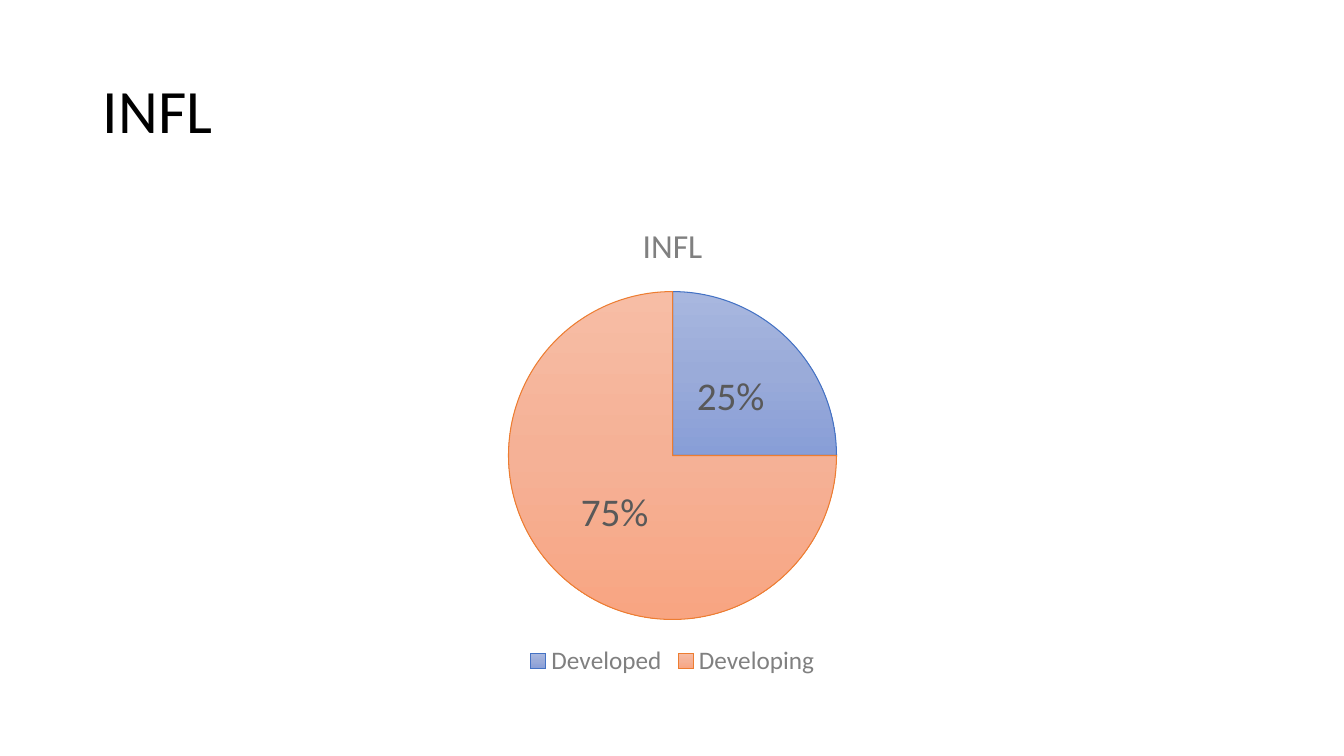
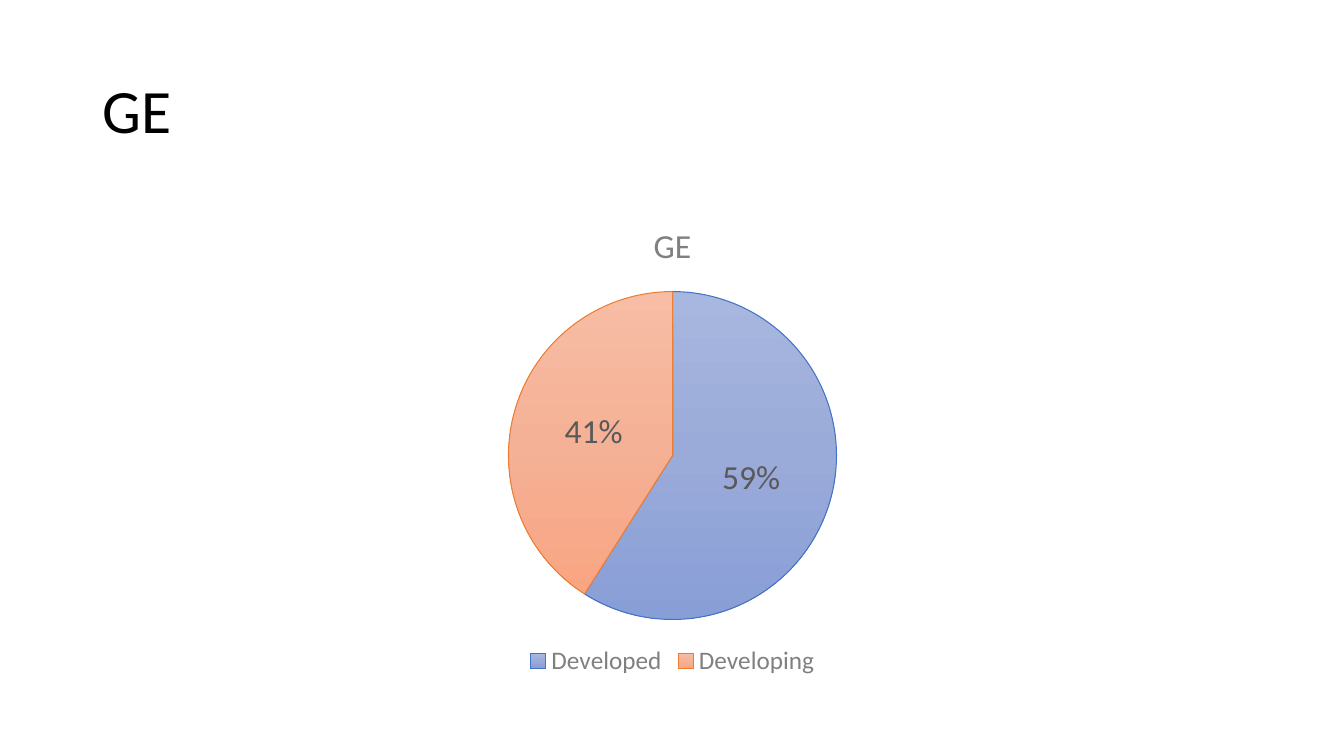
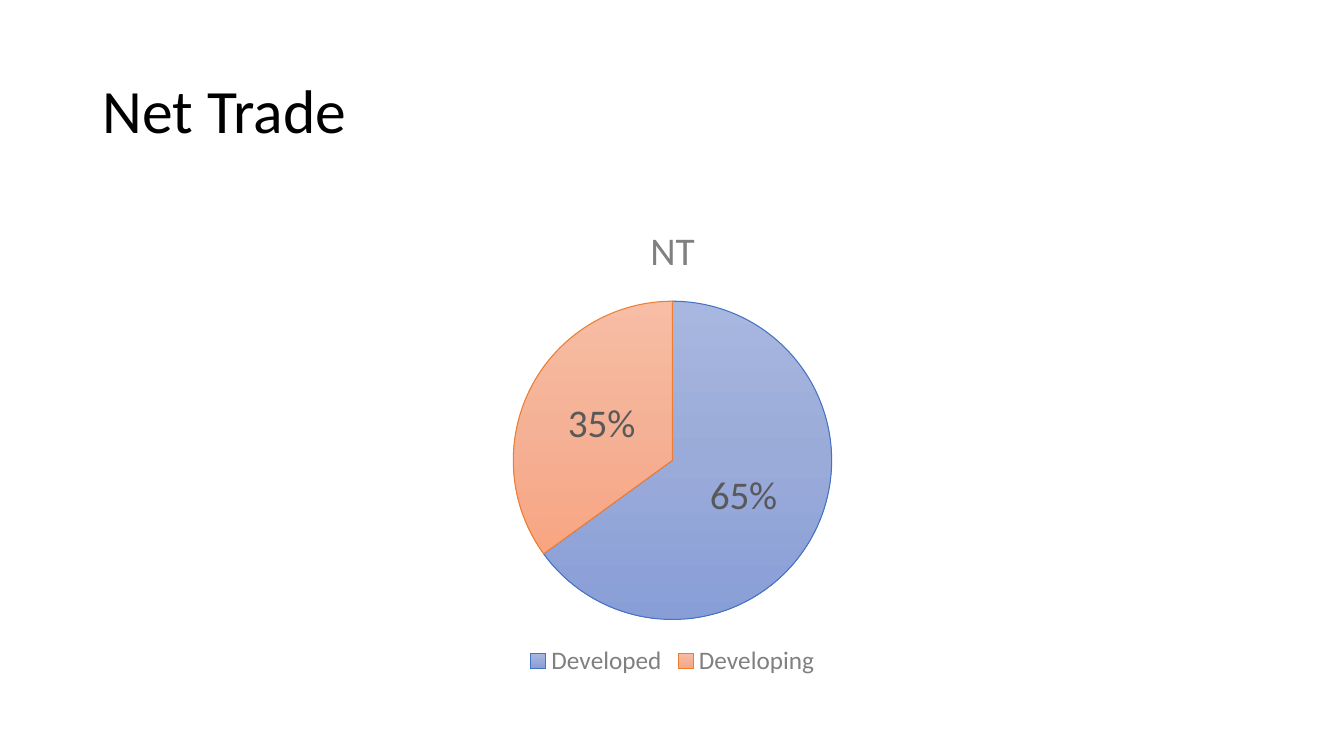
from dataclasses import dataclass

from lxml.etree import SubElement
from pptx import Presentation
from pptx.chart.data import CategoryChartData
from pptx.chart.point import Point
from pptx.dml.color import RGBColor
from pptx.enum.chart import XL_CHART_TYPE, XL_LABEL_POSITION, XL_LEGEND_POSITION
from pptx.enum.text import MSO_ANCHOR, MSO_AUTO_SIZE, PP_ALIGN
from pptx.oxml import parse_xml
from pptx.oxml.ns import nsdecls, qn
from pptx.slide import Slide
from pptx.text.text import Font
from pptx.util import Inches, Pt

FONT = "Calibri"
BLACK, GREY, DARK_GREY = "000000", "808080", "595959"
LEFT, WIDTH = Inches(0.92), Inches(11.5)
TITLE_TOP, TITLE_HEIGHT = Inches(0.4), Inches(1.45)
CHART_TOP, CHART_HEIGHT = Inches(2), Inches(4.76)


@dataclass(frozen=True)
class Sector:
    """One country group: its name, outline and gradient from top to bottom."""
    name: str
    outline: str
    gradient: tuple[str, str, str]


@dataclass(frozen=True)
class PiePage:
    """The content of one slide; shares follow the order of SECTORS."""
    title: str
    chart_title: str
    series: str
    shares: tuple[int, int]
    title_size: int
    label_size: int


SECTORS = (
    Sector("Developed", "4472C4", ("A8B7DF", "9AABD9", "889ED7")),
    Sector("Developing", "ED7D31", ("F7BDA5", "F5B196", "F8A582")),
)
PAGES = (
    PiePage("INFL", "INFL", "Series 1", (25, 75), 24, 28),
    PiePage("GE", "GE", "GE", (59, 41), 24, 24),
    PiePage("Net Trade", "NT", "NT", (65, 35), 28, 28),
)


def color(code: str) -> RGBColor:
    """Turn a hex string into a colour."""
    return RGBColor.from_string(code)


def style_font(font: Font, size: int, code: str) -> None:
    """Set the shared typeface with a size and a colour."""
    font.name, font.size, font.bold = FONT, Pt(size), False
    font.color.rgb = color(code)


def add_title(page: Slide, text: str) -> None:
    """Fill and place the title placeholder."""
    box = page.shapes.title
    box.left, box.top, box.width, box.height = LEFT, TITLE_TOP, WIDTH, TITLE_HEIGHT
    frame = box.text_frame
    frame.text = text
    frame.vertical_anchor = MSO_ANCHOR.MIDDLE
    frame.auto_size = MSO_AUTO_SIZE.NONE
    para = frame.paragraphs[0]
    para.alignment, para.line_spacing = PP_ALIGN.LEFT, 0.9
    style_font(para.font, 44, BLACK)


def paint_sector(point: Point, sector: Sector) -> None:
    """Give a pie sector its outline and vertical gradient."""
    point.format.line.color.rgb = color(sector.outline)
    point.format.line.width = Pt(0.75)
    gradient = parse_xml(f'<a:gradFill {nsdecls("a")} rotWithShape="1"/>')
    stops = SubElement(gradient, qn("a:gsLst"))
    for index, code in enumerate(sector.gradient):
        stop = SubElement(stops, qn("a:gs"), pos=str(index * 50000))
        SubElement(stop, qn("a:srgbClr"), val=code)
    SubElement(gradient, qn("a:lin"), ang="5400000", scaled="0")
    point.format.element.get_or_add_spPr().insert(0, gradient)


def add_pie(page: Slide, content: PiePage) -> None:
    """Add the pie chart with its title, legend and percentages."""
    data = CategoryChartData()
    data.categories = [sector.name for sector in SECTORS]
    data.add_series(content.series, content.shares)
    chart = page.shapes.add_chart(
        XL_CHART_TYPE.PIE, LEFT, CHART_TOP, WIDTH, CHART_HEIGHT, data).chart
    style_font(chart.font, 10, BLACK)

    chart.has_title = True
    chart.chart_title.include_in_layout = False
    heading = chart.chart_title.text_frame
    heading.text = content.chart_title
    style_font(heading.paragraphs[0].font, content.title_size, GREY)

    chart.has_legend = True
    chart.legend.position = XL_LEGEND_POSITION.BOTTOM
    chart.legend.include_in_layout = False
    style_font(chart.legend.font, 18, GREY)

    plot = chart.plots[0]
    plot.vary_by_categories = True
    series = plot.series[0]
    for index, sector in enumerate(SECTORS):
        paint_sector(series.points[index], sector)

    labels = series.data_labels
    labels.show_percentage, labels.show_value = True, False
    labels.number_format, labels.number_format_is_linked = "0%", False
    labels.position = XL_LABEL_POSITION.CENTER
    style_font(labels.font, content.label_size, DARK_GREY)


def build() -> None:
    """Build and save the deck."""
    deck = Presentation()
    deck.slide_width, deck.slide_height = Inches(13.33), Inches(7.5)
    title_only = deck.slide_layouts[5]
    for content in PAGES:
        page = deck.slides.add_slide(title_only)
        add_title(page, content.title)
        add_pie(page, content)
    deck.save("out.pptx")


build()
